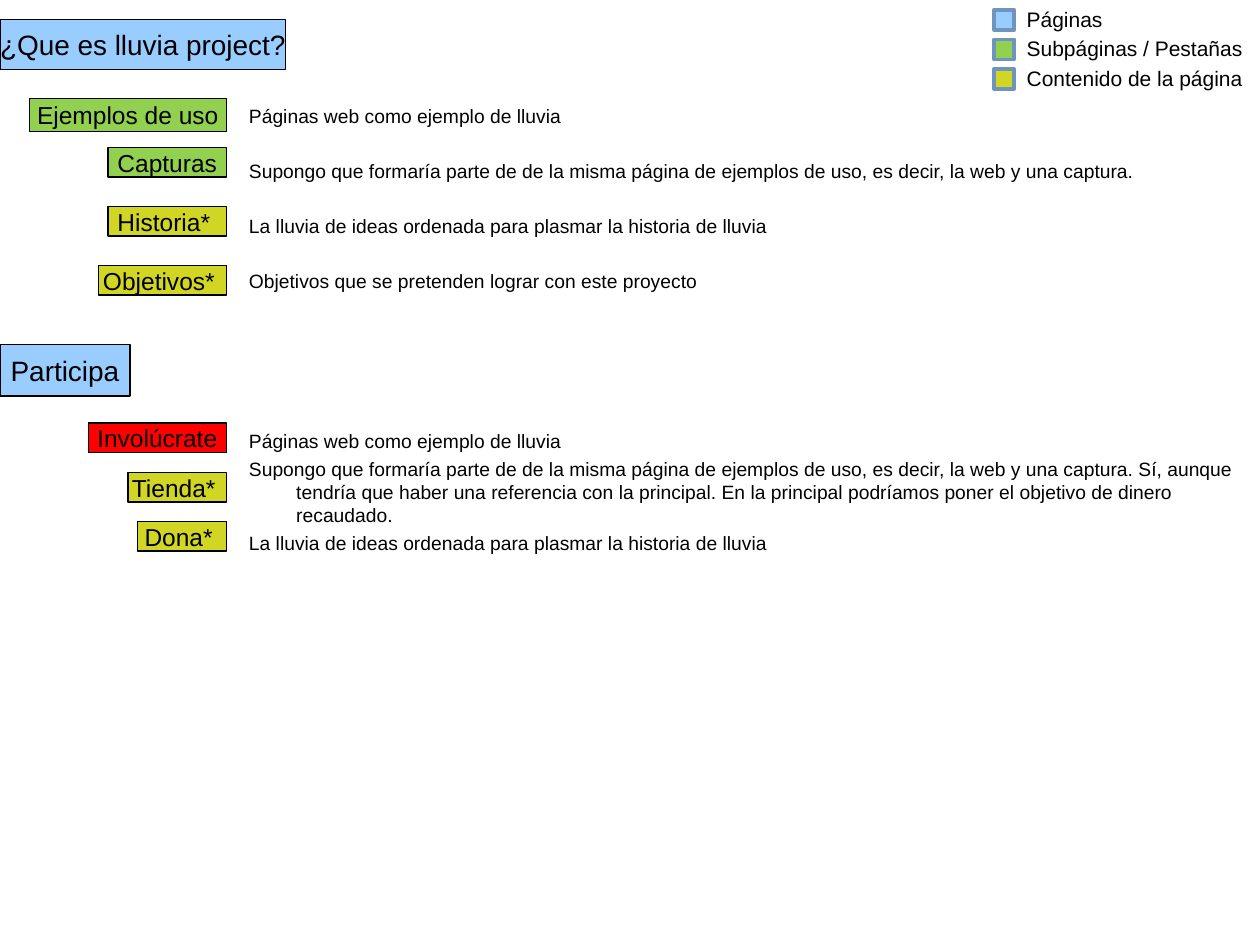
from pptx import Presentation
from pptx import util as u
from pptx.dml.color import RGBColor
from pptx.enum import shapes, text
from pptx.oxml.xmlchemy import OxmlElement

Pt = u.Pt
BLACK = RGBColor(0x00, 0x00, 0x00)
BLUE = RGBColor(0x99, 0xCC, 0xFF)
GREEN = RGBColor(0x92, 0xD0, 0x50)
OLIVE = RGBColor(0xD1, 0xD5, 0x23)
RED = RGBColor(0xFF, 0x00, 0x00)
STEEL = RGBColor(0x6F, 0x95, 0xBC)

# Content: label, colour, left, top, width, height
HEADS = [
    ("¿Que es lluvia project?", BLUE, 0, 11.3, 163.3, 28.4),
    ("Participa", BLUE, 0, 196.9, 74.3, 29.4),
]
TAGS = [
    ("Ejemplos de uso", GREEN, 16.8, 56.2, 112.6, 18.9),
    ("Capturas", GREEN, 61.8, 84.3, 67.6, 16.8),
    ("Historia* ", OLIVE, 61.8, 118, 67.6, 16.8),
    ("Objetivos* ", OLIVE, 56.2, 151.8, 73.2, 16.8),
    ("Involúcrate", RED, 50.4, 241.8, 79, 16.8),
    ("Tienda* ", OLIVE, 73.1, 270, 56.3, 16.8),
    ("Dona* ", OLIVE, 78.7, 298.1, 50.7, 16.8),
]
# Notes: top, height, gap between paragraphs, paragraphs
NOTES = [
    (56.2, 123.8, 18.2, [
        "Páginas web como ejemplo de lluvia",
        "Supongo que formaría parte de de la misma página de ejemplos de uso, "
        "es decir, la web y una captura.",
        "La lluvia de ideas ordenada para plasmar la historia de lluvia",
        "Objetivos que se pretenden lograr con este proyecto",
    ]),
    (241.8, 90, 2.8, [
        "Páginas web como ejemplo de lluvia",
        "Supongo que formaría parte de de la misma página de ejemplos de uso, "
        "es decir, la web y una captura. Sí, aunque tendría que haber una "
        "referencia con la principal. En la principal podríamos poner el "
        "objetivo de dinero recaudado.",
        "La lluvia de ideas ordenada para plasmar la historia de lluvia",
    ]),
]
KEYS = [("Páginas", BLUE), ("Subpáginas / Pestañas", GREEN),
        ("Contenido de la página", OLIVE)]
KEY_STEP = 16.9
HANG = 27

deck = Presentation()
deck.slide_width, deck.slide_height = Pt(720), Pt(540)
slide = deck.slides.add_slide(deck.slide_layouts[6])


def style(item, **vals):
    for key, val in vals.items():
        setattr(item, key, val)


def add_box(fill, edge, thick, *place):
    box = slide.shapes.add_shape(shapes.MSO_SHAPE.RECTANGLE, *map(Pt, place))
    box.shadow.inherit = False
    box.fill.solid()
    box.fill.fore_color.rgb = fill
    box.line.color.rgb = edge
    box.line.width = Pt(thick)
    return box


def write(para, words, size):
    run = para.add_run()
    run.text = words
    style(run.font, name="Arial", size=Pt(size))
    run.font.color.rgb = BLACK


def add_text(*place):
    frame = slide.shapes.add_textbox(*map(Pt, place)).text_frame
    frame.word_wrap = True
    return frame


# Headings and tags
for size, group in ((16, HEADS), (14, TAGS)):
    for words, fill, *place in group:
        frame = add_box(fill, BLACK, 0.75, *place).text_frame
        style(frame, word_wrap=False, vertical_anchor=text.MSO_ANCHOR.MIDDLE)
        para = frame.paragraphs[0]
        para.alignment = text.PP_ALIGN.CENTER
        write(para, words, size)

# Notes with hanging indents
for top, high, gap, lines in NOTES:
    frame = add_text(135.2, top, 584.8, high)
    for i, words in enumerate(lines):
        para = frame.add_paragraph() if i else frame.paragraphs[0]
        props = para._p.get_or_add_pPr()
        props.set("marL", str(Pt(HANG)))
        props.set("indent", str(-Pt(HANG)))
        para.space_before = Pt(gap if i else 0)
        props.append(OxmlElement("a:buNone"))
        write(para, words, 11)

# Colour key
for i, (words, fill) in enumerate(KEYS):
    top = i * KEY_STEP
    add_box(fill, STEEL, 2, 568.1, top + 5.6, 11.5, 11.5)
    write(add_text(579.6, top, 140.4, 21.6).paragraphs[0], words, 12)

deck.save("out.pptx")
